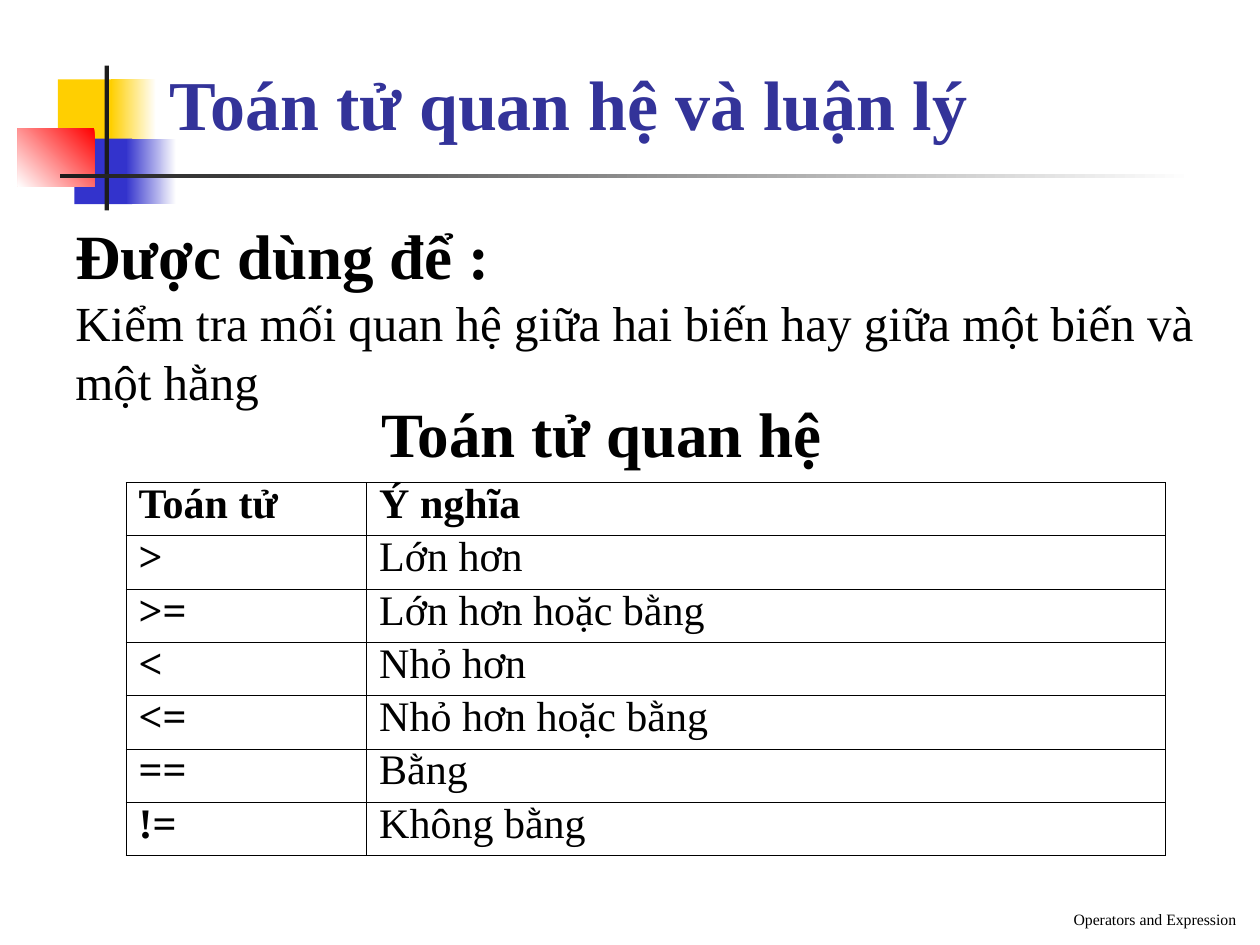
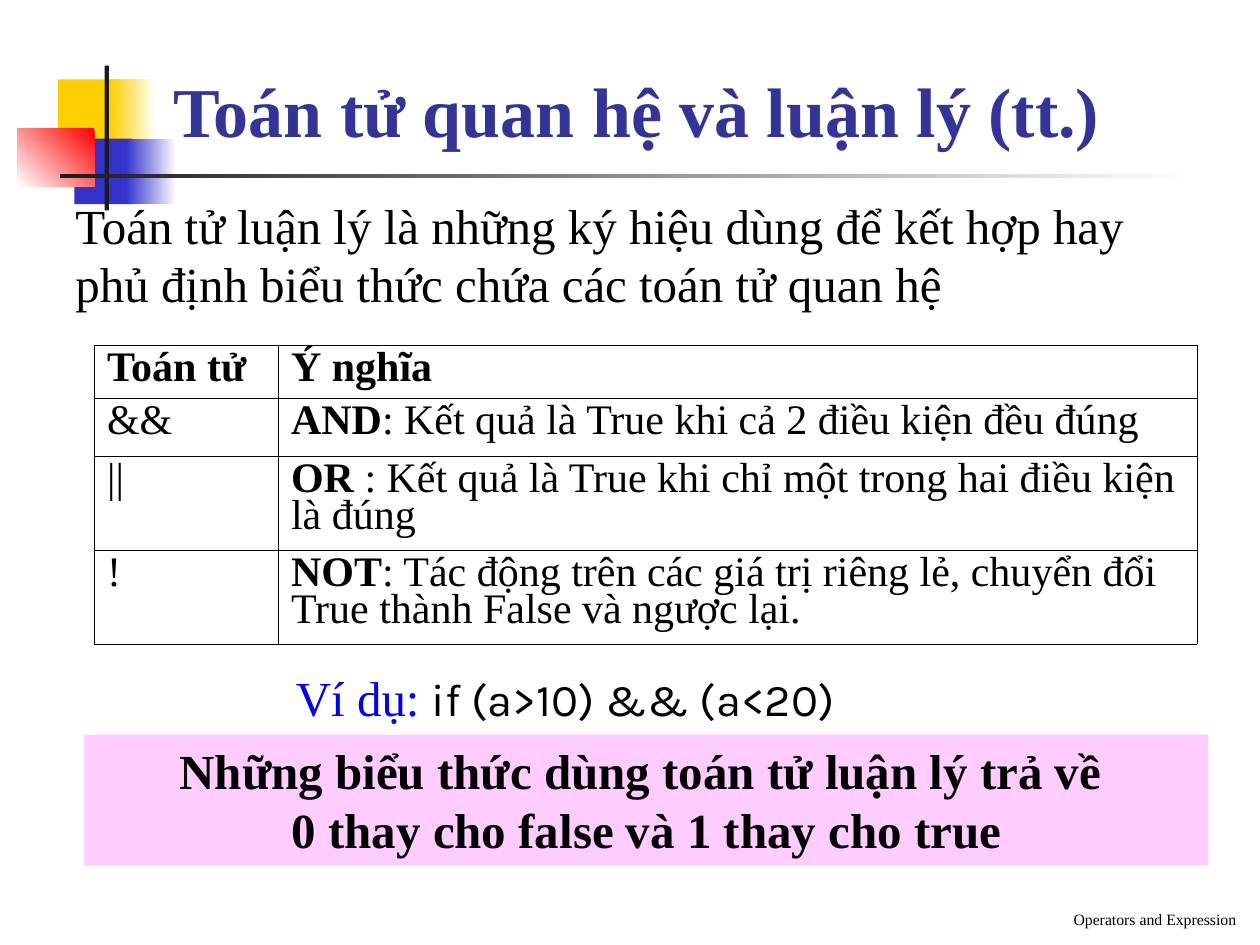
from dataclasses import dataclass

from lxml.etree import SubElement
from pptx import Presentation
from pptx.dml.color import RGBColor
from pptx.enum.shapes import MSO_SHAPE as Preset
from pptx.enum.text import MSO_ANCHOR as Anchor, MSO_AUTO_SIZE as AutoSize, PP_ALIGN as Align
from pptx.oxml.ns import qn
from pptx.util import Inches, Pt

COLUMNS, ROWS = 100, 75
WIDTH, HEIGHT = Inches(10), Inches(7.5)


@dataclass(frozen=True)
class Style:
    size: float
    color: str = "000000"
    bold: bool = False
    font: str = "Times New Roman"


class Theme:
    white, yellow, blue, red, ink = "FFFFFF", "FFCF01", "3333CC", "FF0000", "1C1C1C"
    border, banner = "000000", "FFCCFF"
    border_width = Pt(0.45)
    title = Style(40, "333399", True)
    heading = Style(36, bold=True)
    body = Style(28)
    strong = Style(28, bold=True)
    example = Style(28, "0000FF")
    code = Style(26, font="Karla")
    cell = Style(24)
    cell_bold = Style(24, bold=True)
    footer = Style(9)
    space_before = Pt(17.5)
    cell_spacing = 0.8


@dataclass(frozen=True)
class Box:
    left: float
    top: float
    width: float
    height: float

    def at(self, left, top, width, height):
        return Box(self.left + left, self.top + top, width, height)

    def emu(self):
        return (across(self.left), down(self.top), across(self.width), down(self.height))


PAGE = Box(0, 0, COLUMNS, ROWS)


def across(columns):
    return round(WIDTH * columns / COLUMNS)


def down(rows):
    return round(HEIGHT * rows / ROWS)


def apply_style(font, style):
    font.size = Pt(style.size)
    font.bold = style.bold
    font.name = style.font
    font.color.rgb = RGBColor.from_string(style.color)


def write(paragraph, runs):
    styles = {style for _, style in runs}
    if len(styles) == 1:
        paragraph.text = "".join(text for text, _ in runs)
        apply_style(paragraph.font, styles.pop())
        return
    for text, style in runs:
        run = paragraph.add_run()
        run.text = text
        apply_style(run.font, style)


def fill_frame(frame, paragraphs, align=None, anchor=Anchor.TOP, wrap=True, grow=True, before=None):
    frame.word_wrap = wrap
    frame.vertical_anchor = anchor
    frame.auto_size = AutoSize.SHAPE_TO_FIT_TEXT if grow else AutoSize.NONE
    for index, runs in enumerate(paragraphs):
        paragraph = frame.add_paragraph() if index else frame.paragraphs[0]
        paragraph.alignment = align
        paragraph.space_before = before
        write(paragraph, runs)


def draw_text(slide, box, *paragraphs, **layout):
    fill_frame(slide.shapes.add_textbox(*box.emu()).text_frame, paragraphs, **layout)


def draw_block(slide, box, color, end=None, angle=180):
    shape = slide.shapes.add_shape(Preset.RECTANGLE, *box.emu())
    shape.shadow.inherit = False
    shape.line.fill.background()
    if end is None:
        shape.fill.solid()
        shape.fill.fore_color.rgb = RGBColor.from_string(color)
    else:
        shape.fill.gradient()
        shape.fill.gradient_angle = angle
        for stop, value in zip(shape.fill.gradient_stops, (color, end)):
            stop.color.rgb = RGBColor.from_string(value)
    return shape


def draw_motif(slide, box):
    draw_block(slide, box.at(3.2, 1.1, 4.8, 5.2), Theme.yellow)
    draw_block(slide, box.at(7.4, 1.1, 3.6, 5.2), Theme.white, Theme.yellow)
    draw_block(slide, box.at(4.5, 5.8, 4.6, 5.2), Theme.blue)
    draw_block(slide, box.at(8.6, 5.8, 4, 5.2), Theme.white, Theme.blue)
    draw_block(slide, box.at(0, 5, 6.1, 4.6), Theme.red, Theme.white, angle=225)
    draw_block(slide, box.at(6.9, 0, 0.35, 11.5), Theme.ink)
    draw_block(slide, box.at(3.4, 8.6, 90, 0.35), Theme.white, Theme.ink)


def draw_frame(slide, title, title_box):
    draw_motif(slide, PAGE.at(1.4, 5.2, 93.4, 11.5))
    draw_text(slide, title_box, [(title, Theme.title)], anchor=Anchor.BOTTOM, grow=False)
    draw_text(slide, PAGE.at(38.3, 69.2, 60.8, 5), [("Operators and Expression", Theme.footer)],
              align=Align.RIGHT, anchor=Anchor.BOTTOM, grow=False)


def draw_borders(cell):
    properties = cell._tc.get_or_add_tcPr()
    for index, side in enumerate(("a:lnL", "a:lnR", "a:lnT", "a:lnB")):
        line = SubElement(properties, qn(side), w=str(Theme.border_width))
        solid = SubElement(line, qn("a:solidFill"))
        SubElement(solid, qn("a:srgbClr"), val=Theme.border)
        properties.insert(index, line)


def draw_table(slide, box, first_column, heights, records):
    table = slide.shapes.add_table(len(records), 2, *box.emu()).table
    table.first_row = table.horz_banding = False
    for column, width in zip(table.columns, (first_column, box.width - first_column)):
        column.width = across(width)
    for row, height, record in zip(table.rows, heights, records):
        row.height = down(height)
        for cell, runs in zip(row.cells, record):
            cell.fill.background()
            draw_borders(cell)
            paragraph = cell.text_frame.paragraphs[0]
            paragraph.line_spacing = Theme.cell_spacing
            write(paragraph, runs)


def header_record():
    return [[("Toán tử", Theme.cell_bold)], [("Ý nghĩa", Theme.cell_bold)]]


def build_relational_slide(slide, box):
    draw_frame(slide, "Toán tử quan hệ và luận lý", box.at(12.5, 3.3, 81.7, 8.7))
    draw_text(slide, box.at(5, 16.7, 91.7, 16.4),
              [("Ðược dùng để :", Theme.heading)],
              [("Kiểm tra mối quan hệ giữa hai biến hay giữa một biến và một hằng", Theme.body)])
    draw_text(slide, box.at(29.3, 30.8, 37.4, 7), [("Toán tử quan hệ", Theme.heading)], wrap=False)
    meanings = {
        ">": "Lớn hơn",
        ">=": "Lớn hơn hoặc bằng",
        "<": "Nhỏ hơn",
        "<=": "Nhỏ hơn hoặc bằng",
        "==": "Bằng",
        "!=": "Không bằng",
    }
    records = [header_record()] + [
        [[(sign, Theme.cell_bold)], [(meaning, Theme.cell)]] for sign, meaning in meanings.items()]
    table_box = box.at(10, 38.3, 82.5, 29.6)
    draw_table(slide, table_box, 19.1, [table_box.height / len(records)] * len(records), records)


def build_logical_slide(slide, box):
    draw_frame(slide, "Toán tử quan hệ và luận lý (tt.)", box.at(12.8, 4.2, 84.7, 8.3))
    draw_text(slide, box.at(5, 15, 90.8, 10.4),
              [("Toán tử luận lý là những ký hiệu dùng để kết hợp hay phủ định biểu thức "
                "chứa các toán tử quan hệ", Theme.body)], before=Theme.space_before)
    banner = draw_block(slide, box.at(6.7, 58.3, 89.2, 10.4), Theme.banner)
    fill_frame(banner.text_frame,
               [[("Những biểu thức dùng toán tử luận lý trả về \n"
                  "0 thay cho false và 1 thay cho true", Theme.strong)]],
               align=Align.CENTER, before=Theme.space_before)
    draw_text(slide, box.at(22.5, 52.5, 50.9, 5.7),
              [("Ví dụ: ", Theme.example), ("if (a>10) && (a<20)", Theme.code)])
    meanings = [
        ("&&", "AND", ": Kết quả là True khi cả 2 điều kiện đều đúng"),
        ("||", "OR", " : Kết quả là True khi chỉ một trong hai điều kiện là đúng"),
        ("!", "NOT", ": Tác động trên các giá trị riêng lẻ, chuyển đổi True thành False và ngược lại."),
    ]
    records = [header_record()] + [
        [[(sign, Theme.cell)], [(name, Theme.cell_bold), (meaning, Theme.cell)]]
        for sign, name, meaning in meanings]
    draw_table(slide, box.at(7.5, 27.4, 87.5, 23.7), 14.6, [4.2, 4.6, 7.45, 7.45], records)


def main():
    presentation = Presentation()
    presentation.slide_width, presentation.slide_height = WIDTH, HEIGHT
    blank = presentation.slide_layouts[6]
    for build in (build_relational_slide, build_logical_slide):
        build(presentation.slides.add_slide(blank), PAGE)
    presentation.save("out.pptx")


if __name__ == "__main__":
    main()
